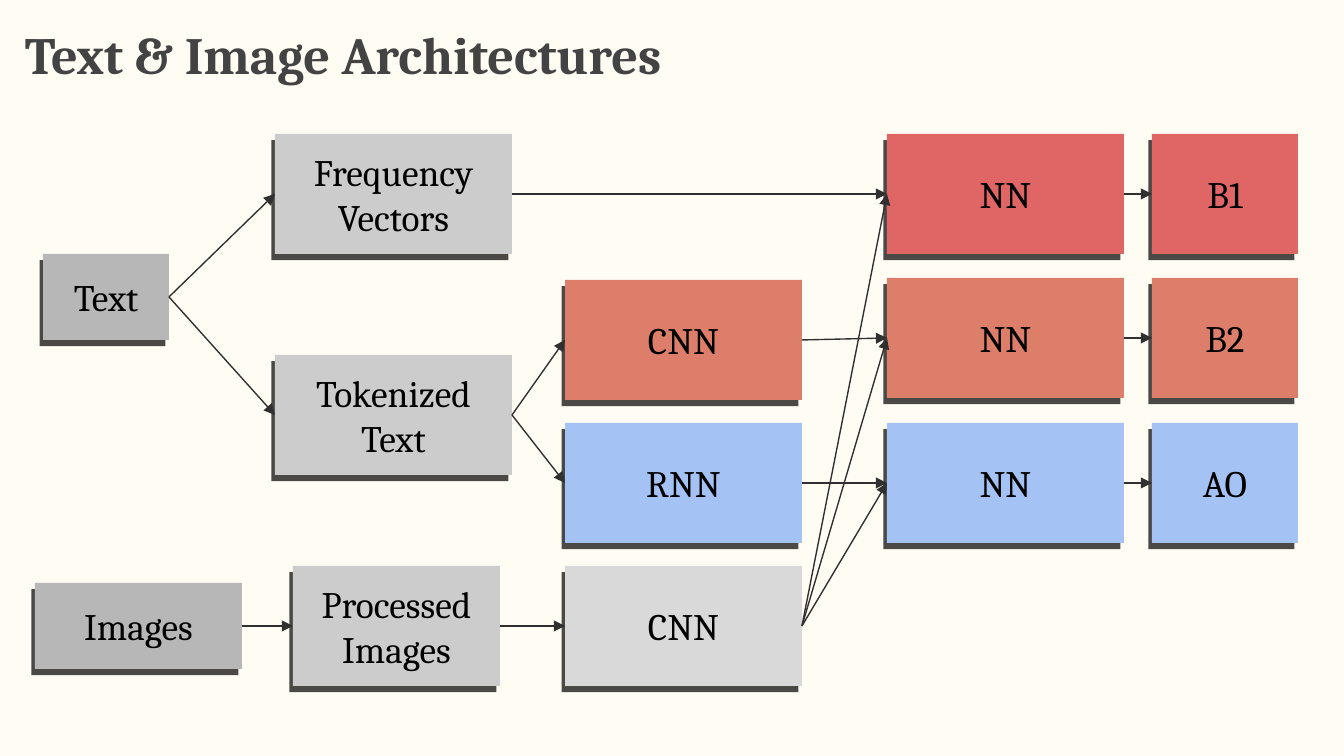
"""Build a flow diagram slide of text and image network architectures."""
from dataclasses import dataclass

from lxml import etree
from pptx import Presentation
from pptx.dml.color import RGBColor
from pptx.enum.shapes import MSO_CONNECTOR, MSO_SHAPE
from pptx.enum.text import MSO_ANCHOR, PP_ALIGN
from pptx.oxml.ns import qn
from pptx.util import Emu, Pt

RECT = MSO_SHAPE.RECTANGLE
STRAIGHT = MSO_CONNECTOR.STRAIGHT
TOP, MIDDLE = MSO_ANCHOR.TOP, MSO_ANCHOR.MIDDLE
LEFT, CENTER = PP_ALIGN.LEFT, PP_ALIGN.CENTER
LEFT_SIDE, RIGHT_SIDE = 1, 3

EMU_PER_PX = 914400 / 134.4
FONT = "Cambria"
COLORS = {
    "background": "FFFBF0",
    "title": "434343",
    "text": "000000",
    "shadow": "000000",
    "arrow": "303030",
    "input": "B7B7B7",
    "prepared": "CCCCCC",
    "image_net": "D9D9D9",
    "red": "E06666",
    "orange": "DD7E6B",
    "blue": "A4C2F4",
}
ALPHA = "71000"
INSET = 13
BOX_W, BOX_H = 237, 120
INPUT_H = 86
IMAGE_W = 207
OUT_W = 146
PREP_X, ENCODE_X, NN_X, OUT_X = 275, 565, 887, 1152
ROW_Y, ROW_STEP = 134, 144.5
IMAGE_Y = 566


@dataclass(frozen=True)
class Box:
    key: str
    text: str
    x: int
    y: int
    color: str
    w: int = BOX_W
    h: int = BOX_H


@dataclass(frozen=True)
class Arrow:
    start: str
    end: str


ROWS = [("B1", "red"), ("B2", "orange"), ("AO", "blue")]
ROW_TOPS = [int(ROW_Y + i * ROW_STEP) for i in range(len(ROWS))]

BOXES = [
    Box("text", "Text", 43, 254, "input", 126, INPUT_H),
    Box("images", "Images", 35, IMAGE_Y + (BOX_H - INPUT_H) // 2, "input", IMAGE_W, INPUT_H),
    Box("tokens", "Tokenized\nText", PREP_X, 355, "prepared"),
    Box("processed", "Processed\nImages", 293, IMAGE_Y, "prepared", IMAGE_W),
    Box("frequency", "Frequency\nVectors", PREP_X, ROW_Y, "prepared"),
    Box("text_cnn", "CNN", ENCODE_X, 280, "orange"),
    Box("image_cnn", "CNN", ENCODE_X, IMAGE_Y, "image_net"),
    Box("rnn", "RNN", ENCODE_X, ROW_TOPS[2], "blue"),
]
ARROWS = [
    Arrow("text", "frequency"),
    Arrow("text", "tokens"),
    Arrow("frequency", "nn_B1"),
    Arrow("tokens", "text_cnn"),
    Arrow("tokens", "rnn"),
    Arrow("text_cnn", "nn_B2"),
    Arrow("rnn", "nn_AO"),
    Arrow("images", "processed"),
    Arrow("processed", "image_cnn"),
]
for (label, color), top in zip(ROWS, ROW_TOPS):
    BOXES += [
        Box(f"nn_{label}", "NN", NN_X, top, color),
        Box(label, label, OUT_X, top, color, OUT_W),
    ]
    ARROWS += [Arrow("image_cnn", f"nn_{label}"), Arrow(f"nn_{label}", label)]


def px(n: int) -> Emu:
    """Convert pixels to EMU."""
    return Emu(round(n * EMU_PER_PX))


def rgb(name: str) -> RGBColor:
    """Look up a named colour."""
    return RGBColor.from_string(COLORS[name])


def write(shape, text: str, *, size: int, color: str = "text", bold: bool = False,
          align=CENTER, anchor=MIDDLE) -> None:
    """Fill a shape with formatted text, one paragraph per line."""
    tf = shape.text_frame
    tf.word_wrap = True
    tf.vertical_anchor = anchor
    tf.margin_left = tf.margin_right = tf.margin_top = tf.margin_bottom = px(INSET)
    tf.text = text
    for p in tf.paragraphs:
        p.alignment = align
        for r in p.runs:
            r.font.name = FONT
            r.font.size = Pt(size)
            r.font.bold = bold
            r.font.color.rgb = rgb(color)


def add_shadow(shape) -> None:
    """Give a shape a hard shadow down and to the left."""
    shape.shadow.inherit = False
    effects = shape.element.spPr.find(qn("a:effectLst"))
    shadow = etree.SubElement(effects, qn("a:outerShdw"), blurRad="0", dist=str(Pt(3.8)),
                              dir=str(120 * 60000), algn="bl", rotWithShape="0")
    clr = etree.SubElement(shadow, qn("a:srgbClr"), val=COLORS["shadow"])
    etree.SubElement(clr, qn("a:alpha"), val=ALPHA)


def add_box(s, box: Box):
    """Draw one labelled box and return its shape."""
    sp = s.shapes.add_shape(RECT, px(box.x), px(box.y), px(box.w), px(box.h))
    sp.fill.solid()
    sp.fill.fore_color.rgb = rgb(box.color)
    sp.line.fill.background()
    add_shadow(sp)
    write(sp, box.text, size=20)
    return sp


def add_arrow(s, start, end) -> None:
    """Join the right side of one box to the left side of another."""
    c = s.shapes.add_connector(STRAIGHT, 0, 0, 0, 0)
    c.begin_connect(start, RIGHT_SIDE)
    c.end_connect(end, LEFT_SIDE)
    c.line.width = Pt(0.75)
    c.line.color.rgb = rgb("arrow")
    etree.SubElement(c.line._get_or_add_ln(), qn("a:tailEnd"), type="triangle")
    etree.SubElement(c.element.spPr, qn("a:effectLst"))


def set_background(s) -> None:
    """Set the translucent slide background."""
    fill = s.background.fill
    fill.solid()
    fill.fore_color.rgb = rgb("background")
    clr = s.element.find(".//" + qn("a:srgbClr"))
    etree.SubElement(clr, qn("a:alpha"), val=ALPHA)


def main() -> None:
    """Build and save the slide."""
    prs = Presentation()
    prs.slide_width, prs.slide_height = px(1344), px(756)
    s = prs.slides.add_slide(prs.slide_layouts[6])
    set_background(s)
    title = s.shapes.add_textbox(px(12), px(9), px(1253), px(85))
    write(title, "Text & Image Architectures", size=28, color="title", bold=True,
          align=LEFT, anchor=TOP)
    shapes = {box.key: add_box(s, box) for box in BOXES}
    for arrow in ARROWS:
        add_arrow(s, shapes[arrow.start], shapes[arrow.end])
    prs.save("out.pptx")


if __name__ == "__main__":
    main()
